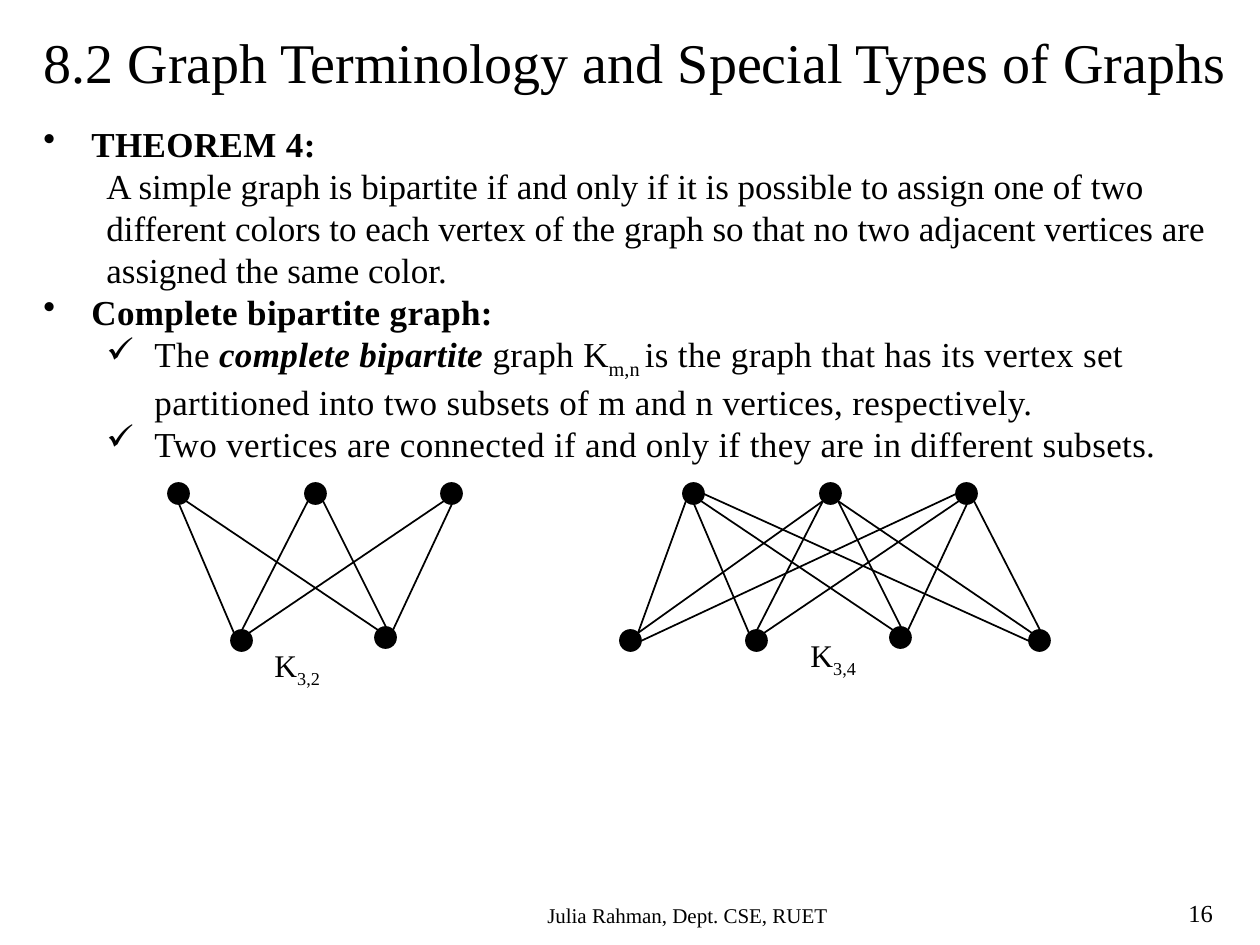
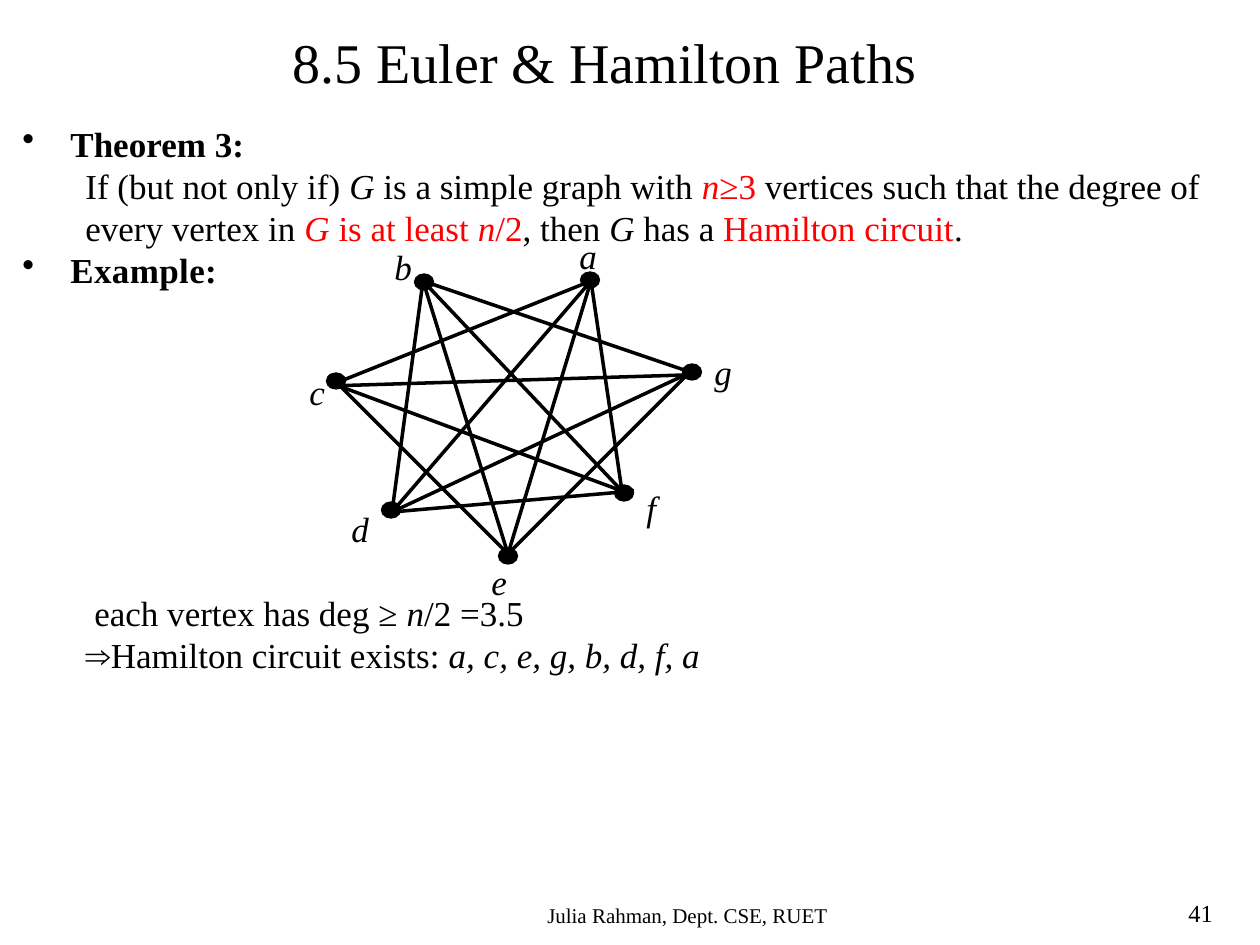
from itertools import combinations

from lxml import etree
from pptx import Presentation
from pptx.dml.color import RGBColor
from pptx.enum.shapes import MSO_CONNECTOR, MSO_SHAPE
from pptx.enum.text import MSO_ANCHOR, MSO_AUTO_SIZE, PP_ALIGN
from pptx.oxml.ns import qn
from pptx.util import Emu, Pt

DOT = MSO_SHAPE.FLOWCHART_CONNECTOR
STRAIGHT = MSO_CONNECTOR.STRAIGHT
TOP = MSO_ANCHOR.TOP
NO_FIT, GROW = MSO_AUTO_SIZE.NONE, MSO_AUTO_SIZE.SHAPE_TO_FIT_TEXT
LEFT, CENTER = PP_ALIGN.LEFT, PP_ALIGN.CENTER

BLACK = RGBColor(0, 0, 0)
RED = RGBColor(255, 0, 0)
FONT = "Times New Roman"
FOOTER = "Julia Rahman, Dept. CSE, RUET"
BULLET, CHECK = (48, -48, "•"), (111, -48, "✓")
PLAIN = (63, 0, "")

BIPARTITE_TEXT = [
    (BULLET, 0, [("THEOREM 4", "bw"), (":", "b")]),
    (PLAIN, 0, [("A simple graph is bipartite if and only if it is possible to assign "
                 "one of two different colors to each vertex of the graph so that no "
                 "two adjacent vertices are assigned the same color.", "")]),
    (BULLET, 0, [("Complete bipartite graph:", "bw")]),
    (CHECK, 0, [("The ", "w"), ("complete bipartite ", "biw"), ("graph ", "w"), ("K", ""),
                ("m,n ", "s"),
                ("is the graph that has its vertex set partitioned into two subsets "
                 "of m and n vertices, respectively.", "w")]),
    (CHECK, 0, [("Two vertices are connected if and only if they are in different "
                 "subsets.", "w")]),
]
HAMILTON_TEXT = [
    (BULLET, 0, [("Theorem 3:", "b")]),
    (PLAIN, 0, [("If (but not only if) ", ""), ("G", "i"), (" is a simple graph with ", ""),
                ("n", "ir"), ("≥3 ", "r"),
                ("vertices such that the degree of every vertex in ", ""),
                ("G", "ir"), (" is at least ", "r"), ("n", "ir"), ("/2", "r"),
                (", then ", ""), ("G", "i"), (" has a ", ""),
                ("Hamilton circuit", "r"), (".", "")]),
    (BULLET, 0, [("Example:", "bw")]),
    ((72, 0, ""), 172, [("each vertex has deg ≥", ""), (" n", "i"), ("/2 =3.5", "")]),
    (PLAIN, 0, [("⇒Hamilton circuit exists: ", ""), ("a, c, e, g, b, d, f, a", "i")]),
]

DOT_SIZE = 21
SITES = {"N": (11, 0), "NE": (18, 3), "E": (21, 11), "SE": (18, 18),
         "S": (11, 21), "SW": (3, 18), "W": (0, 11), "NW": (3, 3)}
K32_DOTS = {"t1": (168, 483), "t2": (305, 483), "t3": (441, 483),
            "b1": (231, 630), "b2": (375, 627)}
K32_EDGES = ["t1 S b1 NW", "t2 SW b1 N", "t3 SW b1 NE",
             "t1 SE b2 NW", "t2 SE b2 N", "t3 S b2 NE"]
K34_SHIFT = 515
OUTER_DOTS = {"left": (620, 630), "right": (1029, 630)}
OUTER_EDGES = ["t1 SW left NE", "t2 SW left NE", "t3 W left E",
               "t1 E right W", "t2 SE right NW", "t3 SE right N"]

VERTICES = {"a": (590, 280), "b": (424, 282), "c": (336, 381), "d": (391, 510),
            "e": (508, 556), "f": (624, 493), "g": (692, 372)}
LINE_ENDS = {"a": (591, 281), "b": (423, 281), "c": (329, 386), "d": (392, 512),
             "e": (508, 554), "f": (622, 491), "g": (685, 375)}
SPECIAL_ENDS = {"ca": (336, 383), "ce": (329, 375), "cf": (339, 386),
                "gb": (693, 373), "ge": (697, 365), "fd": (634, 491)}
LETTERS = {"a": (567, 228, 43, 55), "b": (382, 239, 39, 50), "c": (297, 364, 42, 55),
           "d": (339, 501, 39, 50), "e": (479, 554, 42, 55), "f": (634, 480, 35, 55),
           "g": (702, 344, 43, 55)}


def px(n):
    """Turn pixels into EMU."""
    return Emu(round(n * 914400 / 126))


def add_runs(p, runs, size):
    """Add (text, flags) runs: b bold, i italic, r red, w wide, s subscript."""
    for text, flags in runs:
        r = p.add_run()
        r.text = text
        f = r.font
        f.name, f.size = FONT, Pt(size)
        f.bold, f.italic = "b" in flags, "i" in flags
        f.color.rgb = RED if "r" in flags else BLACK
        if "w" in flags:
            r._r.get_or_add_rPr().set("spc", "20")
        if "s" in flags:
            r._r.get_or_add_rPr().set("baseline", "-25000")


def add_label(s, box, runs, size, align=LEFT, wrap=True):
    """Add a one-paragraph text box."""
    tf = s.shapes.add_textbox(*map(px, box)).text_frame
    tf.word_wrap, tf.auto_size = wrap, GROW
    p = tf.paragraphs[0]
    p.alignment = align
    add_runs(p, runs, size)


def add_body(s, box, paragraphs):
    """Add the main text with its indents and bullets."""
    tf = s.shapes.add_textbox(*map(px, box)).text_frame
    tf.word_wrap = True
    for i, ((margin, indent, mark), before, runs) in enumerate(paragraphs):
        p = tf.add_paragraph() if i else tf.paragraphs[0]
        p.space_before = Pt(before)
        pPr = p._p.get_or_add_pPr()
        pPr.set("marL", str(px(margin)))
        pPr.set("indent", str(px(indent)))
        if mark:
            etree.SubElement(pPr, qn("a:buChar")).set("char", mark)
        add_runs(p, runs, 20)


def add_dot(s, x, y, w, h, weight):
    """Add a black vertex."""
    sp = s.shapes.add_shape(DOT, px(x), px(y), px(w), px(h))
    sp.shadow.inherit = False
    sp.fill.solid()
    sp.fill.fore_color.rgb = BLACK
    sp.line.color.rgb = BLACK
    sp.line.width = Pt(weight)


def add_edge(s, start, end, weight):
    """Add a black line between two points."""
    c = s.shapes.add_connector(STRAIGHT, *map(px, (*start, *end)))
    c.line.color.rgb = BLACK
    c.line.width = Pt(weight)
    etree.SubElement(c._element.spPr, qn("a:effectLst"))


def add_bipartite(s, dots, edges):
    """Draw a graph whose edges run between named sites of its dots."""
    for x, y in dots.values():
        add_dot(s, x, y, DOT_SIZE, DOT_SIZE, 1)
    for edge in edges:
        top, top_site, bottom, bottom_site = edge.split()
        ends = [(dots[d][0] + SITES[k][0], dots[d][1] + SITES[k][1])
                for d, k in ((top, top_site), (bottom, bottom_site))]
        add_edge(s, *ends, 1)


def add_hamilton_graph(s):
    """Join every two vertices that are not neighbours on the ring."""
    names = list(VERTICES)
    for u, v in combinations(names, 2):
        if names.index(v) - names.index(u) not in (1, len(names) - 1):
            add_edge(s, SPECIAL_ENDS.get(u + v, LINE_ENDS[u]),
                     SPECIAL_ENDS.get(v + u, LINE_ENDS[v]), 2)
    for name, (x, y) in VERTICES.items():
        add_dot(s, x - 9.5, y - 8, 19, 16, 0.75)
        add_label(s, LETTERS[name], [(name, "i")], 20, wrap=False)


def add_slide(prs, title, title_box, number):
    """Add a slide with title, footer and page number."""
    s = prs.slides.add_slide(prs.slide_layouts[5])
    sp = s.shapes.title
    sp.left, sp.top, sp.width, sp.height = map(px, title_box)
    tf = sp.text_frame
    tf.word_wrap, tf.auto_size, tf.vertical_anchor = True, NO_FIT, TOP
    p = tf.paragraphs[0]
    p.alignment = LEFT
    add_runs(p, [(title, "")], 32)
    add_label(s, (1176, 892, 84, 42), [(number, "")], 14)
    add_label(s, (325, 896, 725, 38), [(FOOTER, "")], 12, CENTER)
    return s


def main():
    """Build both slides."""
    prs = Presentation()
    prs.slide_width, prs.slide_height = px(1260), px(945)

    s = add_slide(prs, "8.2 Graph Terminology and Special Types of Graphs",
                  (31, 21, 1218, 81), "16")
    add_body(s, (31, 116, 1229, 777), BIPARTITE_TEXT)
    add_bipartite(s, K32_DOTS, K32_EDGES)
    add_label(s, (262, 640, 118, 50), [("K", ""), ("3,2", "s")], 18)
    k34_dots = {d: (x + K34_SHIFT, y) for d, (x, y) in K32_DOTS.items()}
    add_bipartite(s, k34_dots | OUTER_DOTS, K32_EDGES + OUTER_EDGES)
    add_label(s, (798, 630, 118, 50), [("K", ""), ("3,4", "s")], 18)

    s = add_slide(prs, "8.5 Euler & Hamilton Paths", (280, 21, 771, 81), "41")
    add_body(s, (10, 116, 1250, 777), HAMILTON_TEXT)
    add_hamilton_graph(s)

    prs.save("out.pptx")


if __name__ == "__main__":
    main()
